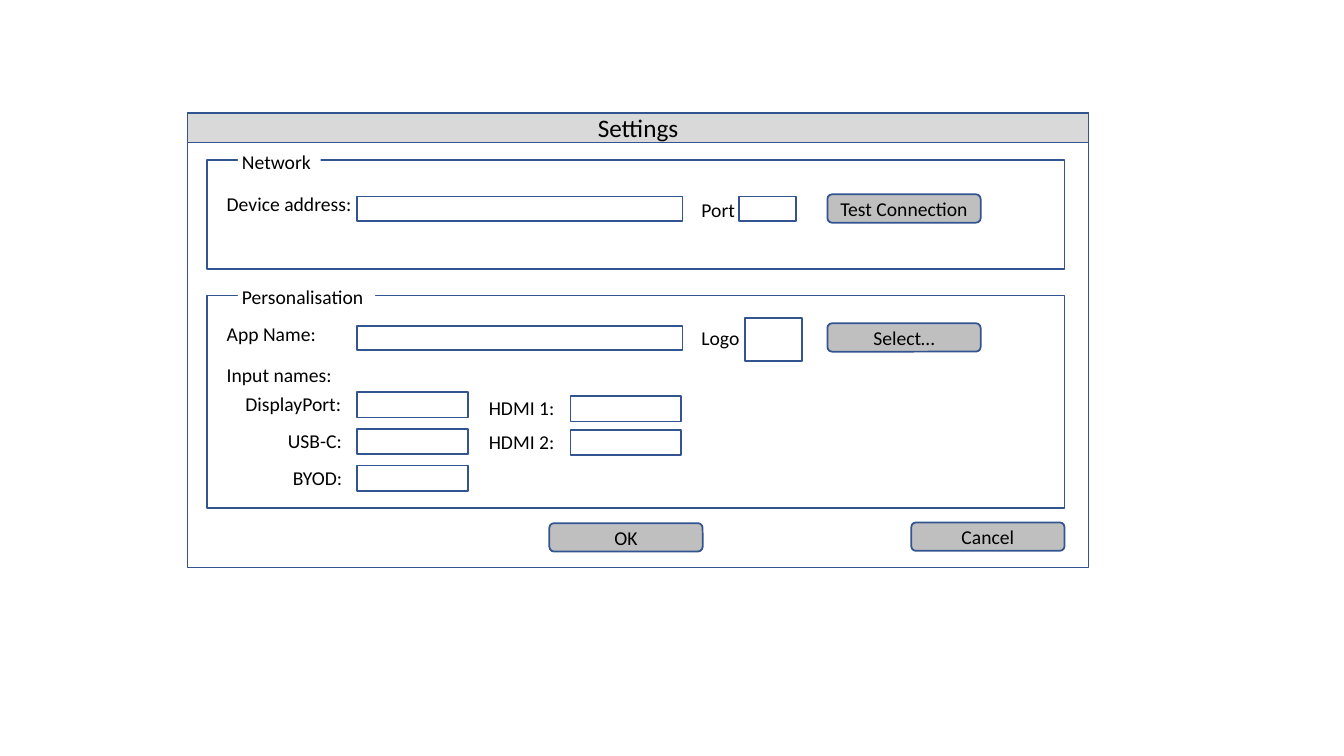
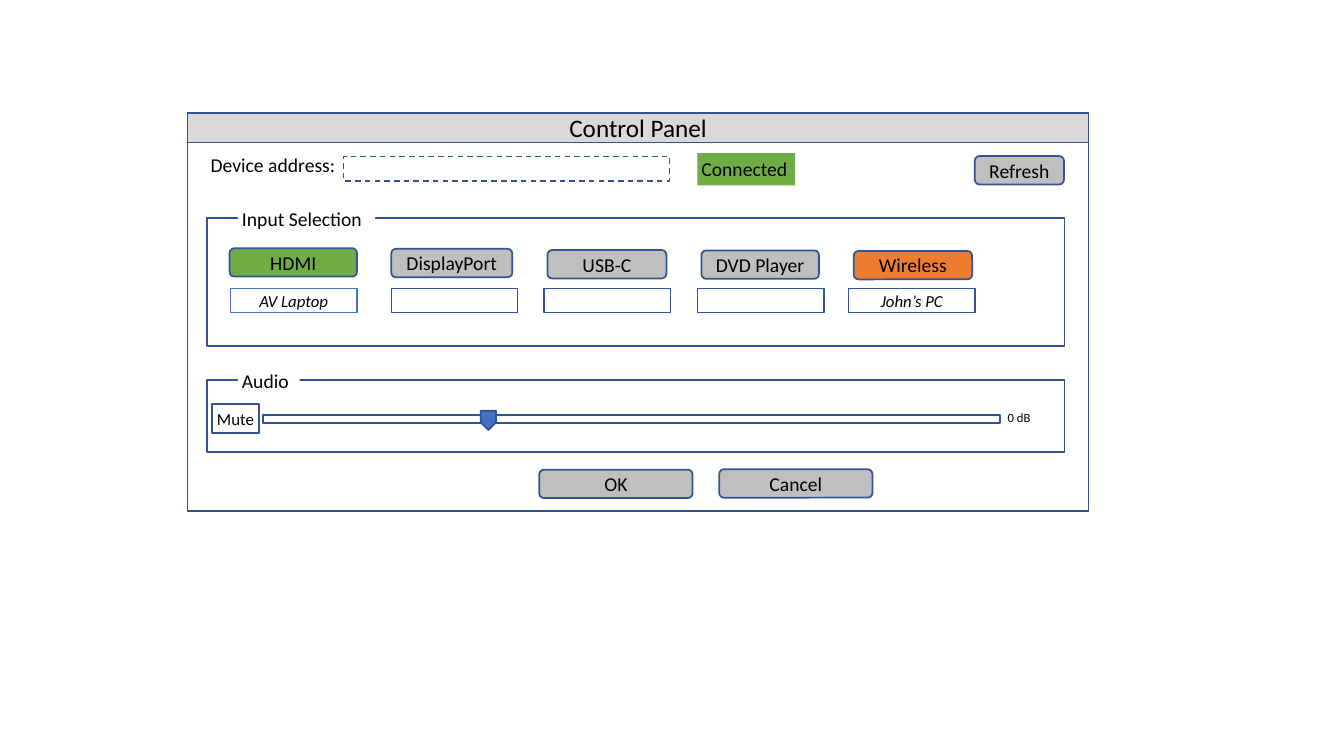
from dataclasses import dataclass

from pptx import Presentation
from pptx.dml.color import RGBColor
from pptx.enum.dml import MSO_LINE
from pptx.enum.shapes import MSO_SHAPE
from pptx.enum.text import MSO_ANCHOR, MSO_AUTO_SIZE, PP_ALIGN
from pptx.shapes.autoshape import Shape
from pptx.slide import Slide
from pptx.util import Pt

# Shared look
FONT = "Calibri"
BLACK, WHITE, OUTLINE, ACCENT = "000000", "FFFFFF", "325491", "4472C4"
BAR_GREY, BUTTON_GREY, GREEN, ORANGE = "D9D9D9", "BFBFBF", "70AD47", "ED7D31"
BORDER, THIN = 1.25, 1
INSET = 2.83
WINDOW_LEFT, WINDOW_TOP, WINDOW_WIDTH, BAR_HEIGHT = 134, 80.75, 643.5, 21
GROUP_LEFT, GROUP_WIDTH = 147.6, 612.7
LABEL_HEIGHT, FIELD_HEIGHT, BUTTON_HEIGHT = 23, 17.6, 20.3
BUTTON_WIDTH, LONG_FIELD, SHORT_FIELD, SOURCE_FIELD = 109.5, 232.6, 79.2, 90.3


@dataclass(frozen=True)
class Box:
    left: float
    top: float
    width: float
    height: float


@dataclass(frozen=True)
class Group:
    caption: str
    caption_width: float
    top: float
    height: float


@dataclass(frozen=True)
class Source:
    name: str
    button: Box
    field_left: float
    color: str = BUTTON_GREY
    device: str = ""
    field_line: str = OUTLINE


def rgb(code: str) -> RGBColor:
    return RGBColor.from_string(code)


def place(shape: Shape, box: Box) -> None:
    shape.left, shape.top = Pt(box.left), Pt(box.top)
    shape.width, shape.height = Pt(box.width), Pt(box.height)


def paint(shape: Shape, fill: str = "", line: str = OUTLINE, weight: float = BORDER) -> None:
    if fill:
        shape.fill.solid()
        shape.fill.fore_color.rgb = rgb(fill)
    else:
        shape.fill.background()
    if line:
        shape.line.color.rgb = rgb(line)
        shape.line.width = Pt(weight)
    else:
        shape.line.fill.background()


def write(shape: Shape, text: str, size: float = 14, italic: bool = False,
          align: PP_ALIGN = PP_ALIGN.CENTER, anchor: MSO_ANCHOR = MSO_ANCHOR.MIDDLE) -> None:
    frame = shape.text_frame
    frame.word_wrap = True
    frame.auto_size = MSO_AUTO_SIZE.NONE
    frame.vertical_anchor = anchor
    paragraph = frame.paragraphs[0]
    paragraph.alignment = align
    run = paragraph.add_run()
    run.text = text
    run.font.name, run.font.size, run.font.italic = FONT, Pt(size), italic
    run.font.color.rgb = rgb(BLACK)


def tighten(shape: Shape) -> None:
    frame = shape.text_frame
    frame.margin_left = frame.margin_right = Pt(INSET)
    frame.margin_top = frame.margin_bottom = Pt(INSET)


def add_box(slide: Slide, box: Box, fill: str = "", line: str = OUTLINE,
            weight: float = BORDER, kind: MSO_SHAPE = MSO_SHAPE.RECTANGLE) -> Shape:
    shape = slide.shapes.add_shape(
        kind, Pt(box.left), Pt(box.top), Pt(box.width), Pt(box.height))
    shape.shadow.inherit = False
    paint(shape, fill, line, weight)
    return shape


def add_button(slide: Slide, text: str, box: Box, color: str = BUTTON_GREY) -> None:
    write(add_box(slide, box, color, kind=MSO_SHAPE.ROUNDED_RECTANGLE), text)


def add_label(slide: Slide, text: str, box: Box, wrap: bool = False,
              fill: str = WHITE, size: float = 14) -> None:
    label = slide.shapes.add_textbox(
        Pt(box.left), Pt(box.top), Pt(box.width), Pt(box.height))
    paint(label, fill, line="")
    write(label, text, size, align=PP_ALIGN.LEFT, anchor=MSO_ANCHOR.TOP)
    tighten(label)
    label.text_frame.word_wrap = wrap
    label.text_frame.auto_size = MSO_AUTO_SIZE.SHAPE_TO_FIT_TEXT


def add_group(slide: Slide, group: Group) -> None:
    add_box(slide, Box(GROUP_LEFT, group.top, GROUP_WIDTH, group.height))
    add_label(slide, group.caption,
              Box(170, group.top - 10.6, group.caption_width, LABEL_HEIGHT), wrap=True)


def add_window(title: str, height: float) -> Slide:
    slide = deck.slides.add_slide(deck.slide_layouts[5])
    bar = slide.shapes.title
    place(bar, Box(WINDOW_LEFT, WINDOW_TOP, WINDOW_WIDTH, BAR_HEIGHT))
    paint(bar, BAR_GREY)
    write(bar, title, 18)
    add_box(slide, Box(WINDOW_LEFT, WINDOW_TOP, WINDOW_WIDTH, height))
    return slide


deck = Presentation()
deck.slide_width, deck.slide_height = Pt(960), Pt(540)

# Settings window
settings = add_window("Settings", 324.7)
for group in (Group("Network", 59, 114.5, 77.8), Group("Personalisation", 98, 211, 152)):
    add_group(settings, group)

# Long entries, each with a small entry and a button beside it
for text, label_width, field_top in (("Device address:", 95.8, 140.4), ("App Name:", 69.8, 232.6)):
    add_label(settings, text, Box(159.1, field_top - 5.8, label_width, LABEL_HEIGHT))
    add_box(settings, Box(254.9, field_top, LONG_FIELD, FIELD_HEIGHT))
for text, label_width, label_top, entry in (
        ("Port", 30.2, 138.2, Box(527.8, 140.4, 40.6, FIELD_HEIGHT)),
        ("Logo", 33.1, 230, Box(532.1, 227, 40.6, 31))):
    add_label(settings, text, Box(498.2, label_top, label_width, LABEL_HEIGHT))
    add_box(settings, entry)
for text, left, top in (("Test Connection", 591, 138.8), ("Select…", 591, 230.9),
                        ("OK", 392.4, 373.7), ("Cancel", 650.9, 373.2)):
    add_button(settings, text, Box(left, top, BUTTON_WIDTH, BUTTON_HEIGHT))

# Input names: two columns of labelled entries, labels flush right
add_label(settings, "Input names:", Box(159.1, 256.3, 81.4, LABEL_HEIGHT))
for names, label_right, field_left, first_top, pitch in (
        ((("DisplayPort:", 74.9), ("USB-C:", 44.6), ("BYOD:", 41)), 247.3, 254.9, 280, 26.3),
        ((("HDMI 1:", 53.3), ("HDMI 2:", 53.3)), 399.6, 407.5, 283, 23.9)):
    for row, (name, width) in enumerate(names):
        top = first_top + row * pitch
        add_label(settings, name, Box(label_right - width, top - 2.8, width, LABEL_HEIGHT))
        add_box(settings, Box(field_left, top, SHORT_FIELD, 18.2))

# Control panel window
panel = add_window("Control Panel", 284.5)
add_label(panel, "Device address:", Box(147.6, 106.5, 95.8, LABEL_HEIGHT))
address = add_box(panel, Box(245.5, 111.6, LONG_FIELD, FIELD_HEIGHT), weight=THIN)
address.line.dash_style = MSO_LINE.DASH
add_label(panel, "Connected", Box(498.2, 109.4, 69.8, LABEL_HEIGHT), wrap=True, fill=GREEN)
for group in (Group("Input Selection", 98, 155.6, 91.5), Group("Audio", 44, 271.5, 51.2)):
    add_group(panel, group)
for text, box in (("Refresh", Box(696.3, 111.5, 63.7, BUTTON_HEIGHT)),
                  ("OK", Box(385.2, 335.5, BUTTON_WIDTH, BUTTON_HEIGHT)),
                  ("Cancel", Box(513.7, 335.2, BUTTON_WIDTH, BUTTON_HEIGHT))):
    add_button(panel, text, box)

# Input sources with the device connected to each
SOURCES = (
    Source("HDMI", Box(164, 177.3, 91, BUTTON_HEIGHT), 164.7, GREEN, "AV Laptop", ACCENT),
    Source("DisplayPort", Box(279.5, 177.8, 86.5, BUTTON_HEIGHT), 279.5),
    Source("USB-C", Box(391, 178.6, 85, BUTTON_HEIGHT), 388.7),
    Source("DVD Player", Box(501, 178.9, 84, BUTTON_HEIGHT), 498.4),
    Source("Wireless", Box(609.8, 179.3, 84.6, BUTTON_HEIGHT), 606.1, ORANGE, "John’s PC"),
)
for source in SOURCES:
    add_button(panel, source.name, source.button, source.color)
    device = add_box(panel, Box(source.field_left, 206, SOURCE_FIELD, 17.2),
                     line=source.field_line, weight=THIN)
    if source.device:
        write(device, source.device, 12, italic=True)

# Volume slider
mute = add_box(panel, Box(151.2, 288.5, 34, 20.9))
write(mute, "Mute", 12)
tighten(mute)
add_box(panel, Box(187.8, 296.4, 526.4, 5.8))
add_label(panel, "0 dB", Box(717, 290.2, 25.5, 16.6), wrap=True, size=9)
thumb = add_box(panel, Box(342, 294.8, 13.7, 10.9), ACCENT, kind=MSO_SHAPE.PENTAGON)
thumb.rotation = 90

deck.save("out.pptx")
